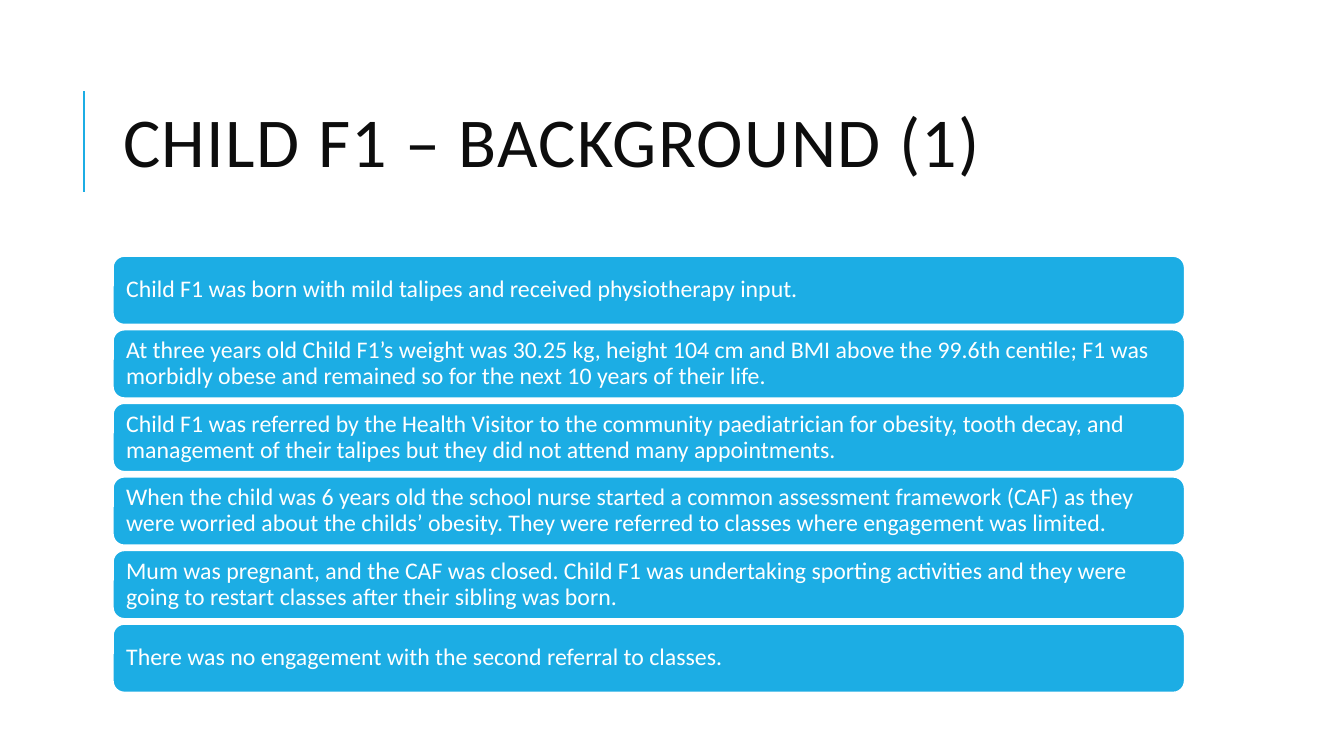
"""Builds the slide on the background of Child F1."""
from lxml.etree import SubElement
from pptx import Presentation
from pptx.dml.color import RGBColor
from pptx.enum.shapes import MSO_CONNECTOR as Connector, MSO_SHAPE as Preset
from pptx.enum.text import MSO_ANCHOR as Anchor, MSO_AUTO_SIZE as AutoSize, PP_ALIGN as Align
from pptx.oxml.ns import qn
from pptx.util import Pt

PX = 9144
BLUE, WHITE, INK = "1CADE4", "FFFFFF", "0D0D0D"
TITLE = "CHILD F1 – BACKGROUND (1)"
EVENTS = [
    "Child F1 was born with mild talipes and received physiotherapy input.",
    "At three years old Child F1’s weight was 30.25 kg, height 104 cm and BMI above the 99.6th centile; "
    "F1 was morbidly obese and remained so for the next 10 years of their life.",
    "Child F1 was referred by the Health Visitor to the community paediatrician for obesity, tooth decay, "
    "and management of their talipes but they did not attend many appointments.",
    "When the child was 6 years old the school nurse started a common assessment framework (CAF) as they "
    "were worried about the childs’ obesity. They were referred to classes where engagement was limited.",
    "Mum was pregnant, and the CAF was closed. Child F1 was undertaking sporting activities and they were "
    "going to restart classes after their sibling was born.",
    "There was no engagement with the second referral to classes.",
]
FRAME_FORMAT = {
    "word_wrap": True, "auto_size": AutoSize.NONE, "vertical_anchor": Anchor.MIDDLE,
    "margin_left": 10 * PX, "margin_right": 10 * PX,
    "margin_top": 5 * PX, "margin_bottom": 5 * PX,
}


def color(hex_code):
    """Turn a hex string into a colour."""
    return RGBColor.from_string(hex_code)


def set_all(target, values):
    """Set each attribute named in a dict."""
    for name, value in values.items():
        setattr(target, name, value)


def write(shape, text, size, ink, line_spacing):
    """Write one left-aligned paragraph into a shape and return its run."""
    frame = shape.text_frame
    set_all(frame, FRAME_FORMAT)
    para = frame.paragraphs[0]
    set_all(para, {"alignment": Align.LEFT, "line_spacing": line_spacing})
    run = para.add_run()
    run.text = text
    set_all(run.font, {"name": "Calibri", "size": Pt(size)})
    run.font.color.rgb = color(ink)
    return run


def add_heading(page, left, top, width, height):
    """Place the title in its box, with the accent rule to its left."""
    title = page.shapes.title
    set_all(title, {"left": left * PX, "top": top * PX, "width": width * PX, "height": height * PX})
    run = write(title, TITLE, 50, INK, 0.8)
    run._r.get_or_add_rPr().set("spc", "100")

    rule_x, rule_top = (left - 29) * PX, (top + 26) * PX
    rule = page.shapes.add_connector(Connector.STRAIGHT, rule_x, rule_top + 100 * PX, rule_x, rule_top)
    rule.line.color.rgb = color(BLUE)
    rule.line.width = Pt(1.5)
    SubElement(rule._element.spPr, qn("a:effectLst"))


def add_events(page, left, top, width, height, gap=5):
    """Stack one rounded bar for each event, filling the box."""
    pitch = (height + gap) // len(EVENTS)
    for index, event in enumerate(EVENTS):
        bar = page.shapes.add_shape(
            Preset.ROUNDED_RECTANGLE, left * PX, (top + index * pitch) * PX, width * PX, (pitch - gap) * PX)
        bar.shadow.inherit = False
        bar.fill.solid()
        bar.fill.fore_color.rgb = color(BLUE)
        bar.line.color.rgb = color(WHITE)
        bar.line.width = Pt(1.25)
        write(bar, event, 17, WHITE, 0.9)


def main():
    """Build and save the deck."""
    deck = Presentation()
    set_all(deck, {"slide_width": 1333 * PX, "slide_height": 750 * PX})
    page = deck.slides.add_slide(deck.slide_layouts.get_by_name("Title Only"))
    add_heading(page, 112, 64, 1063, 164)
    add_events(page, 112, 254, 1063, 433)
    deck.save("out.pptx")


if __name__ == "__main__":
    main()
